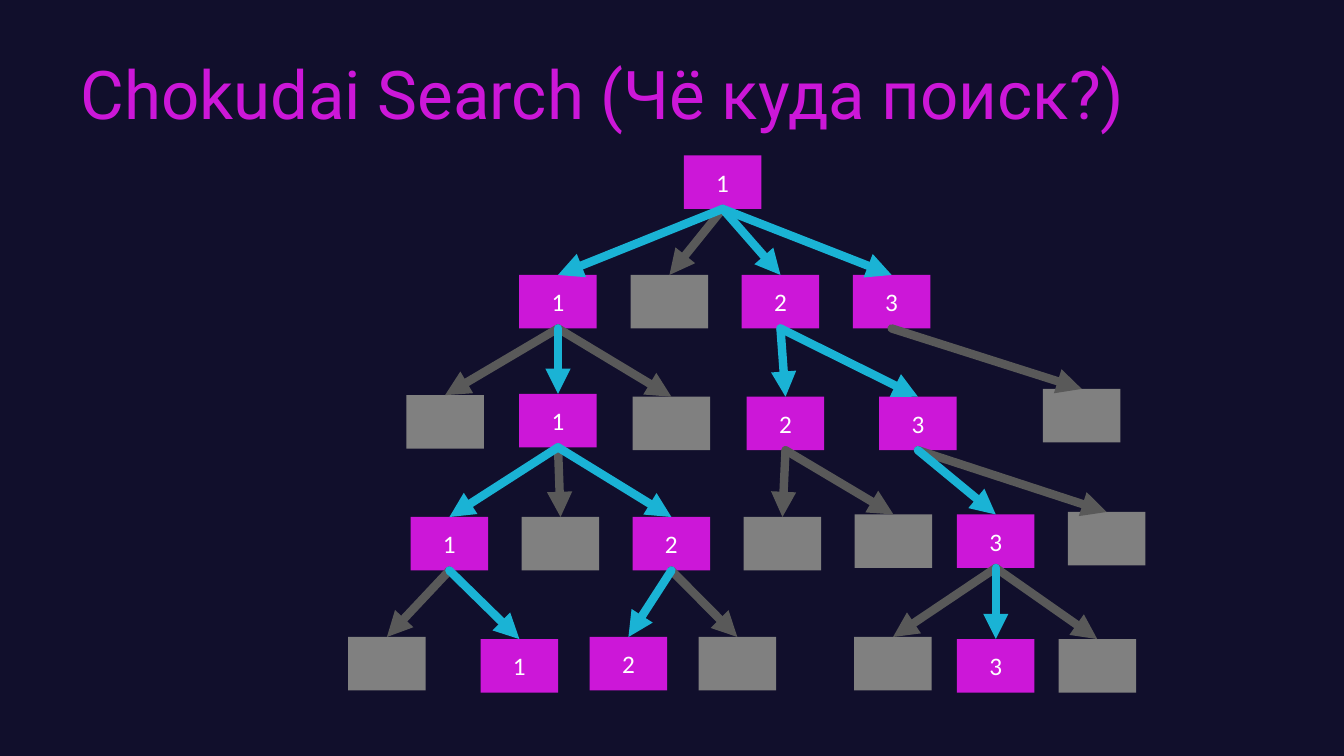
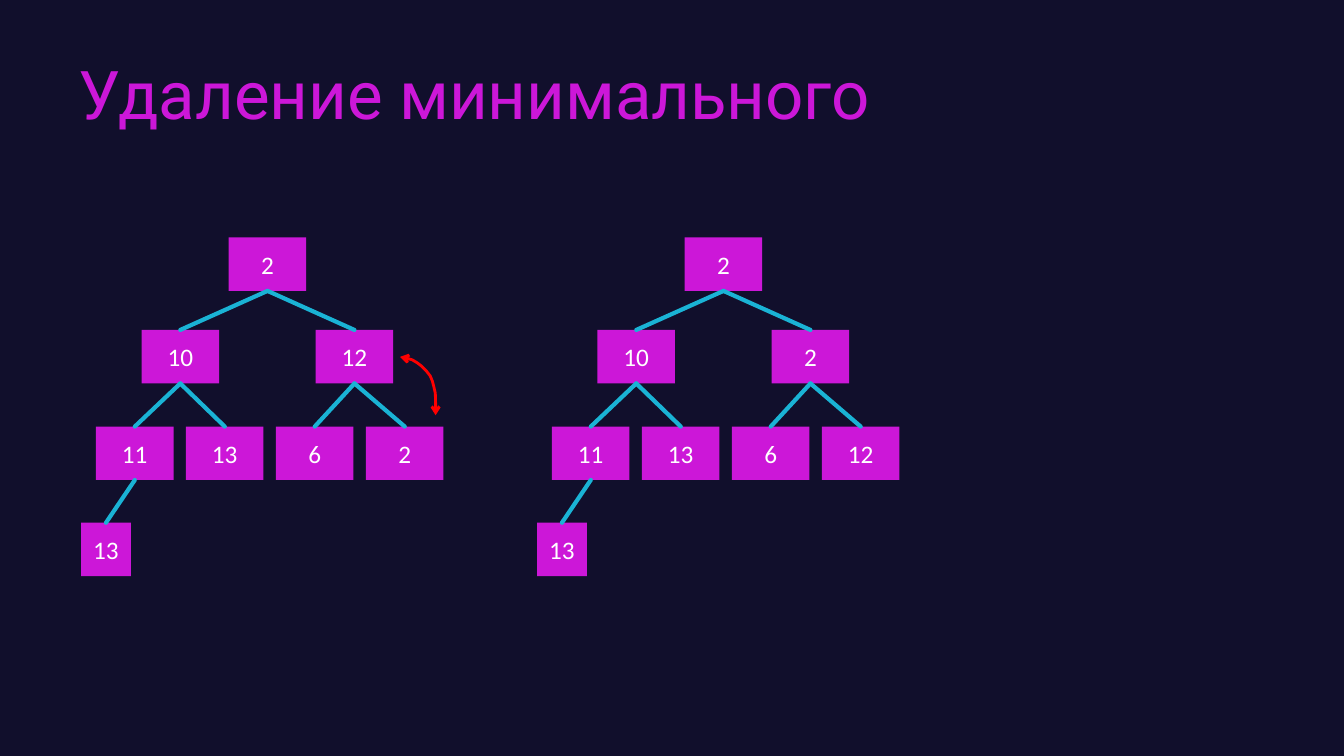
"""Build two slides with search and heap trees."""
from lxml import etree
from pptx import Presentation
from pptx.dml.color import RGBColor
from pptx.enum.shapes import MSO_CONNECTOR, MSO_SHAPE
from pptx.enum.text import MSO_ANCHOR, PP_ALIGN
from pptx.oxml.ns import qn
from pptx.util import Pt

RECTANGLE = MSO_SHAPE.RECTANGLE
STRAIGHT = MSO_CONNECTOR.STRAIGHT
MIDDLE = MSO_ANCHOR.MIDDLE
LEFT = PP_ALIGN.LEFT
CENTER = PP_ALIGN.CENTER

NAVY = RGBColor(0x11, 0x0F, 0x2C)
MAGENTA = RGBColor(0xCC, 0x17, 0xD8)
CYAN = RGBColor(0x1A, 0xB3, 0xD5)
GREY = RGBColor(0x80, 0x80, 0x80)
DARK_GREY = RGBColor(0x59, 0x59, 0x59)
WHITE = RGBColor(0xFF, 0xFF, 0xFF)
RED = RGBColor(0xFF, 0x00, 0x00)

TITLE_FONT = {"name": "Roboto", "size": Pt(48), "bold": False}
NODE_FONT = {"name": "Calibri", "size": Pt(18), "bold": False}
NODE_WIDTH, NODE_HEIGHT = 55.4, 38.2
BOTTOM, TOP = 2, 0


def add_node(slide, label, center, top, width=NODE_WIDTH):
    node = slide.shapes.add_shape(
        RECTANGLE, Pt(center - width / 2), Pt(top), Pt(width), Pt(NODE_HEIGHT))
    node.shadow.inherit = False
    node.fill.solid()
    node.fill.fore_color.rgb = MAGENTA if label else GREY
    node.line.fill.background()
    if label:
        node.text_frame.text = label
        node.text_frame.vertical_anchor = MIDDLE
        paragraph = node.text_frame.paragraphs[0]
        paragraph.alignment = CENTER
        font = paragraph.runs[0].font
        for attribute, value in NODE_FONT.items():
            setattr(font, attribute, value)
        font.color.rgb = WHITE
    return node


def add_branch(slide, parent, child, color, width, arrow=False):
    branch = slide.shapes.add_connector(STRAIGHT, 0, 0, 0, 0)
    branch.begin_connect(parent, BOTTOM)
    branch.end_connect(child, TOP)
    branch.line.color.rgb = color
    branch.line.width = Pt(width)
    properties = branch._element.spPr
    outline = properties.find(qn("a:ln"))
    outline.set("cap", "rnd")
    if arrow:
        etree.SubElement(outline, qn("a:tailEnd"), type="triangle")
    etree.SubElement(properties, qn("a:effectLst"))


prs = Presentation()
prs.slide_width, prs.slide_height = Pt(960), Pt(540)
background = prs.slide_master.background.fill
background.solid()
background.fore_color.rgb = NAVY

slides = []
for heading, left in (("Chokudai Search (Чё куда поиск?)", 50.4),
                      ("Удаление минимального", 49)):
    slide = prs.slides.add_slide(prs.slide_layouts[5])
    title = slide.shapes.title
    title.left, title.top = Pt(left), Pt(21.6)
    title.width, title.height = Pt(864.7), Pt(89.3)
    title.text_frame.text = heading
    title.text_frame.vertical_anchor = MIDDLE
    paragraph = title.text_frame.paragraphs[0]
    paragraph.alignment = LEFT
    font = paragraph.runs[0].font
    for attribute, value in TITLE_FONT.items():
        setattr(font, attribute, value)
    font.color.rgb = MAGENTA
    slides.append(slide)
search_slide, heap_slide = slides

SEARCH_TREE = [
    ("root", None, "1", 516.2, 111),
    ("a", "root", "1", 398.6, 196.4),
    ("b", "root", "", 478.2, 196.4),
    ("c", "root", "2", 557.5, 196.4),
    ("d", "root", "3", 636.9, 196.4),
    ("a1", "a", "", 317.9, 282.3),
    ("a2", "a", "1", 398.6, 281.3),
    ("a3", "a", "", 479.6, 283.4),
    ("c1", "c", "2", 561.1, 283.4),
    ("c2", "c", "3", 655.7, 283.4),
    ("d1", "d", "", 772.7, 277.8),
    ("a21", "a2", "1", 321, 369.3),
    ("a22", "a2", "", 400.4, 369.3),
    ("a23", "a2", "2", 479.6, 369.3),
    ("c11", "c1", "", 558.9, 369.3),
    ("c12", "c1", "", 638.2, 367.5),
    ("c21", "c2", "3", 711.3, 367.5),
    ("c22", "c2", "", 790.5, 365.7),
    ("a211", "a21", "", 276.4, 455),
    ("a212", "a21", "1", 371, 456.5),
    ("a231", "a23", "2", 448.9, 455),
    ("a232", "a23", "", 526.7, 455),
    ("c211", "c21", "", 637.9, 455),
    ("c212", "c21", "3", 711.3, 456.5),
    ("c213", "c21", "", 783.8, 456.5),
]
search_nodes = {
    key: add_node(search_slide, label, center, top)
    for key, _, label, center, top in SEARCH_TREE
}
for chosen, color in ((False, DARK_GREY), (True, CYAN)):
    for key, parent, label, _, _ in SEARCH_TREE:
        if parent and bool(label) == chosen:
            add_branch(search_slide, search_nodes[parent], search_nodes[key],
                       color, 6, arrow=True)

HEAP_PLACES = [(191.1, 169.6), (128.8, 235.7), (253.2, 235.7)]
HEAP_PLACES += [(96.3 + 64.27 * column, 304.7) for column in range(4)]
HEAP_PLACES.append((75.7, 373.4))
HEAPS = [
    (0, ["2", "10", "12", "11", "13", "6", "2", "13"]),
    (325.7, ["2", "10", "2", "11", "13", "6", "12", "13"]),
]
for offset, labels in HEAPS:
    heap_nodes = []
    for index, (label, (center, top)) in enumerate(zip(labels, HEAP_PLACES)):
        width = 35.6 if index == 7 else NODE_WIDTH
        heap_nodes.append(
            add_node(heap_slide, label, center + offset, top, width))
    for index in range(1, len(heap_nodes)):
        add_branch(heap_slide, heap_nodes[(index - 1) // 2],
                   heap_nodes[index], CYAN, 3)

SWAP_CURVE = [
    (285.8, 254.9), (289.4, 255.6), (294.5, 257), (298.1, 259.2),
    (301, 261.4), (304.6, 265), (307.4, 268.6), (308.9, 272.2),
    (310, 276.5), (311, 280.8), (311.2, 288), (311.2, 296.6),
]
curve_points = [(Pt(x), Pt(y)) for x, y in SWAP_CURVE]
builder = heap_slide.shapes.build_freeform(*curve_points[0])
builder.add_line_segments(curve_points[1:], close=False)
swap = builder.convert_to_shape()
swap.shadow.inherit = False
swap.fill.background()
swap.line.color.rgb = RED
swap.line.width = Pt(2)
swap_outline = swap._element.spPr.find(qn("a:ln"))
for end in ("a:headEnd", "a:tailEnd"):
    etree.SubElement(swap_outline, qn(end), type="arrow")

prs.save("out.pptx")
